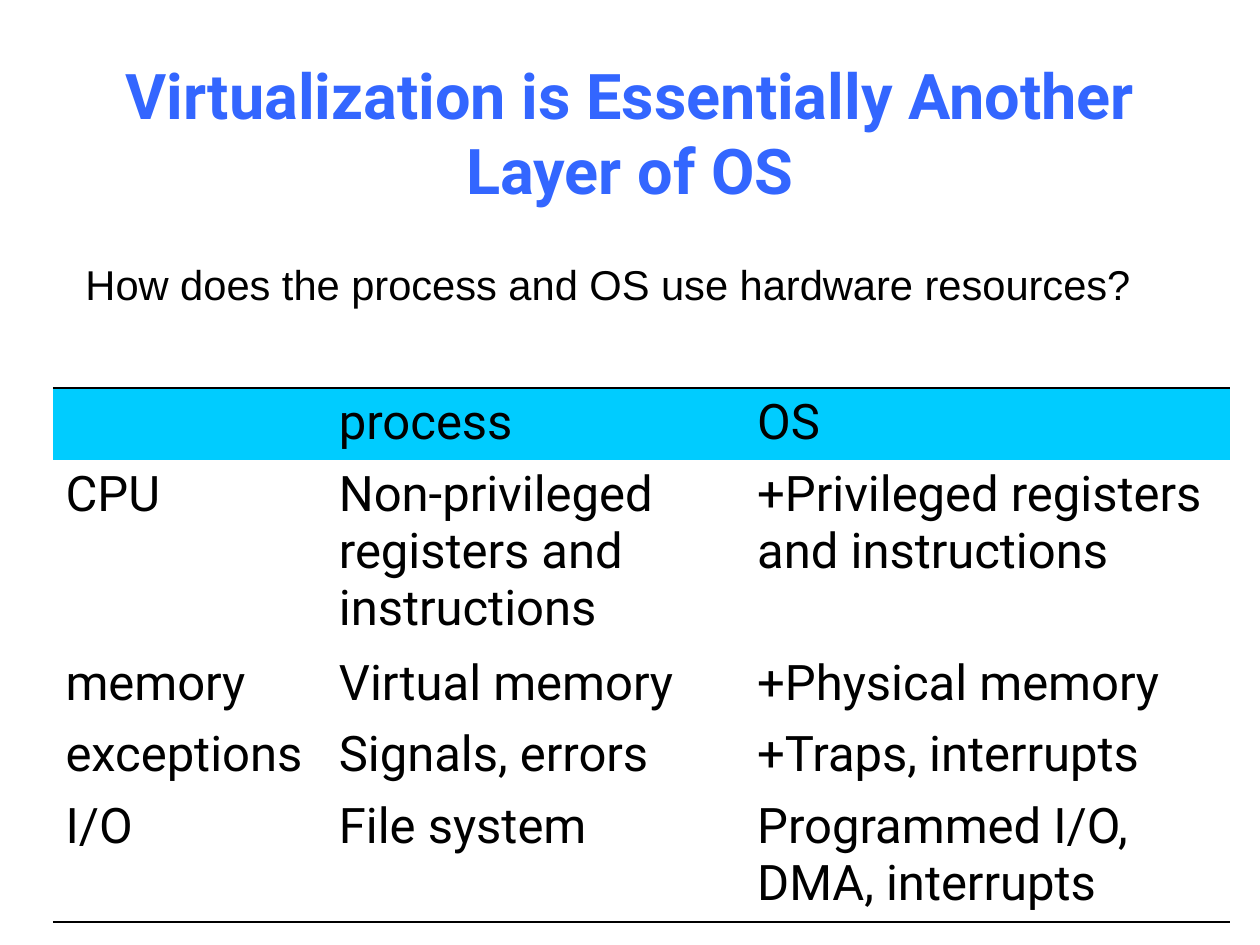
from lxml.etree import SubElement, Element
from pptx import Presentation
from pptx.dml.color import RGBColor as RGB
from pptx.enum.text import MSO_ANCHOR as Anchor, PP_ALIGN as Align
from pptx.oxml.ns import qn
from pptx.util import Inches, Pt

COLORS = {"title": "3366FF", "text": "000000", "head": "00CCFF", "rule": "000000"}
NO_STYLE = "{2D5ABB26-0587-4C30-8999-92F81FD0307C}"
COLS = (2.17, 3.32, 3.85)
ROW = 0.55
ROWS = (
    ("", "process", "OS"),
    ("CPU", "Non-privileged registers and instructions",
     "+Privileged registers and instructions"),
    ("memory", "Virtual memory", "+Physical memory"),
    ("exceptions", "Signals, errors", "+Traps, interrupts"),
    ("I/O", "File system", "Programmed I/O, DMA, interrupts"),
)


def style(para, face, size, color, bold=False):
    font = para.font
    font.name, font.size, font.bold = face, Pt(size), bold
    font.color.rgb = RGB.from_string(COLORS[color])


def add_title(slide, text):
    title = slide.shapes.title
    title.left, title.top = Inches(0.75), Inches(0.42)
    title.width, title.height = Inches(8.5), Inches(1.25)
    frame = title.text_frame
    frame.text, frame.word_wrap = text, True
    frame.vertical_anchor = Anchor.MIDDLE
    para = frame.paragraphs[0]
    para.alignment = Align.CENTER
    style(para, "Roboto", 36, "title", bold=True)


def add_lead(slide, text):
    box = slide.shapes.add_textbox(
        Inches(0.58), Inches(2.08), Inches(8.75), Inches(0.67))
    frame = box.text_frame
    frame.text, frame.word_wrap = text, True
    para = frame.paragraphs[0]
    para.line_spacing = 0.8
    style(para, "Arial", 23.8, "text")


def add_rule(cell, side):
    """Draw one border of a cell: lnT for top, lnB for bottom."""
    line = Element(qn(f"a:{side}"), w=str(Pt(1)))
    fill = SubElement(line, qn("a:solidFill"))
    SubElement(fill, qn("a:srgbClr"), val=COLORS["rule"])
    cell._tc.get_or_add_tcPr().insert(0, line)


def add_grid(slide):
    frame = slide.shapes.add_table(
        len(ROWS), len(COLS), Inches(0.42), Inches(3.08),
        Inches(sum(COLS)), Inches(ROW * len(ROWS)))
    table = frame.table
    table.first_row = table.horz_banding = False
    table._tbl.tblPr.find(qn("a:tableStyleId")).text = NO_STYLE
    for col, width in zip(table.columns, COLS):
        col.width = Inches(width)
    for r, row in enumerate(ROWS):
        for c, text in enumerate(row):
            cell = table.cell(r, c)
            cell.text = text
            style(cell.text_frame.paragraphs[0], "Roboto", 28, "text")
            if r == 0:
                cell.fill.solid()
                cell.fill.fore_color.rgb = RGB.from_string(COLORS["head"])
                add_rule(cell, "lnT")
            else:
                cell.fill.background()
            if r == len(ROWS) - 1:
                add_rule(cell, "lnB")


def main():
    prs = Presentation()
    prs.slide_width, prs.slide_height = Inches(10), Inches(7.5)
    slide = prs.slides.add_slide(prs.slide_layouts[5])
    add_title(slide, "Virtualization is Essentially Another Layer of OS")
    add_lead(slide, "How does the process and OS use hardware resources?")
    add_grid(slide)
    prs.save("out.pptx")


if __name__ == "__main__":
    main()
